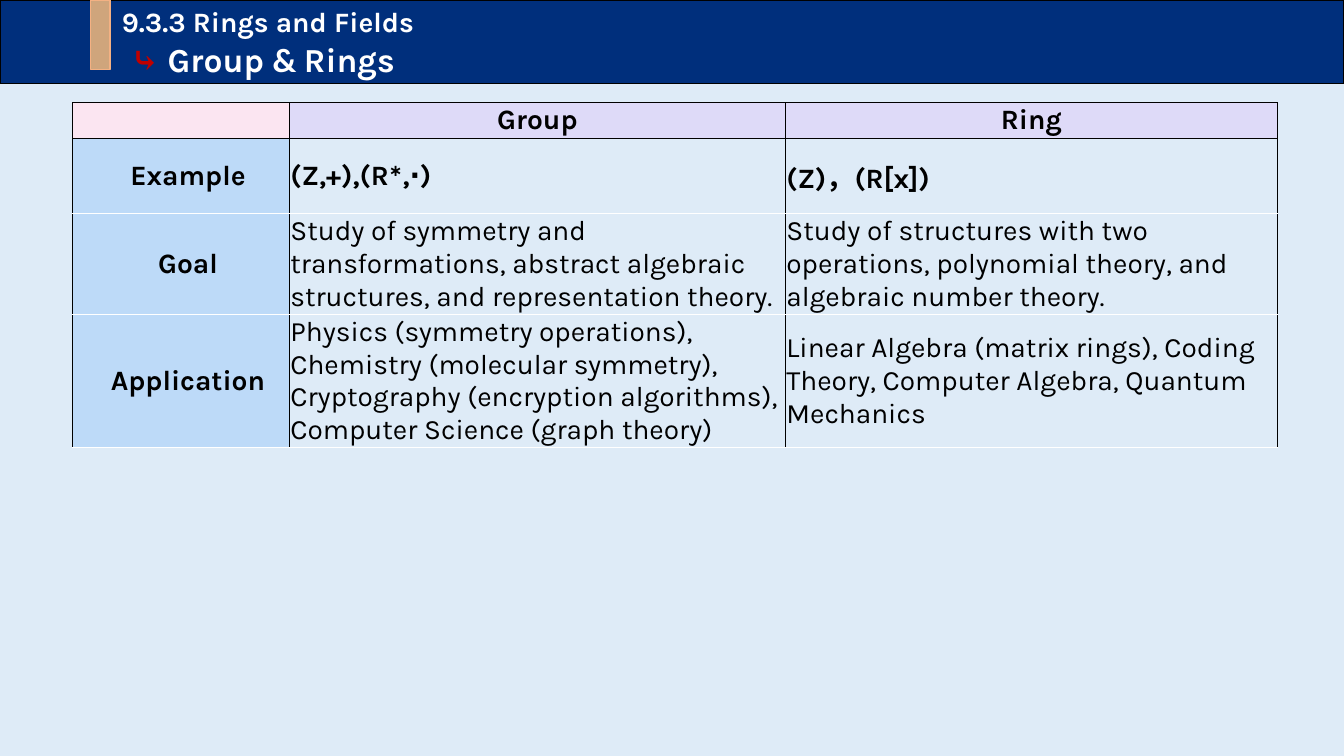
"""Builds the slide that compares groups and rings."""
from lxml import etree
from pptx import Presentation
from pptx import util as u
from pptx.dml.color import RGBColor
from pptx.enum import shapes, text
from pptx.oxml import ns

COLORS = {
    "page": "DEEBF7", "navy": "002F7C", "tan": "CFA57C", "peach": "F4B183",
    "white": "FFFFFF", "black": "000000", "red": "C00000",
    "pink": "FBE5F1", "lilac": "DEDAF8", "sky": "BDDAF8",
}


def rgb(name):
    return RGBColor.from_string(COLORS[name])


def write(paragraph, words, size=20, color="black", bold=False, font="Karla", baseline=0):
    run = paragraph.add_run()
    run.text = words
    run.font.size = u.Pt(size)
    run.font.bold = bold
    run.font.name = font
    run.font.color.rgb = rgb(color)
    if baseline:
        run._r.get_or_add_rPr().set("baseline", str(baseline * 1000))


def indent(paragraph, left=0, first=0):
    properties = paragraph._p.get_or_add_pPr()
    properties.set("marL", str(u.Inches(left)))
    properties.set("indent", str(u.Inches(first)))


class Board:
    def __init__(self, presentation):
        self.slide = presentation.slides.add_slide(presentation.slide_layouts[6])
        self.slide.background.fill.solid()
        self.slide.background.fill.fore_color.rgb = rgb("page")

    def bar(self, left, top, width, height, fill, line):
        bar = self.slide.shapes.add_shape(
            shapes.MSO_SHAPE.RECTANGLE, *map(u.Inches, (left, top, width, height)))
        bar.shadow.inherit = False
        bar.fill.solid()
        bar.fill.fore_color.rgb = rgb(fill)
        bar.line.color.rgb = rgb(line)
        bar.line.width = u.Pt(1)
        return bar

    def heading(self, bar, lines):
        frame = bar.text_frame
        frame.word_wrap = True
        frame.vertical_anchor = text.MSO_ANCHOR.MIDDLE
        for number, (left, runs) in enumerate(lines):
            paragraph = frame.add_paragraph() if number else frame.paragraphs[0]
            paragraph.alignment = text.PP_ALIGN.LEFT
            indent(paragraph, left)
            for words, style in runs:
                write(paragraph, words, bold=True, **style)

    def borders(self, cell, top, bottom):
        properties = cell._tc.get_or_add_tcPr()
        sides = {"lnL": "black", "lnR": "black", "lnT": top, "lnB": bottom}
        for side, color in sides.items():
            line = etree.SubElement(properties, ns.qn(f"a:{side}"), w=str(u.Pt(1)))
            fill = etree.SubElement(line, ns.qn("a:solidFill"))
            etree.SubElement(fill, ns.qn("a:srgbClr"), val=COLORS[color])

    def cell(self, cell, runs, fill, centered, first, top, bottom):
        cell.margin_left = cell.margin_right = u.Inches(0.01)
        cell.margin_top = cell.margin_bottom = u.Inches(0.01)
        cell.vertical_anchor = text.MSO_ANCHOR.MIDDLE
        self.borders(cell, top, bottom)
        if fill:
            cell.fill.solid()
            cell.fill.fore_color.rgb = rgb(fill)
        else:
            cell.fill.background()
        paragraph = cell.text_frame.paragraphs[0]
        if centered:
            paragraph.alignment = text.PP_ALIGN.CENTER
        indent(paragraph, first=first)
        for words, style in runs:
            write(paragraph, words, **style)

    def table(self, left, top, widths, heights, rows):
        table = self.slide.shapes.add_table(
            len(rows), len(widths),
            *map(u.Inches, (left, top, sum(widths), sum(heights)))).table
        table.first_row = table.horz_banding = False
        for column, width in zip(table.columns, widths):
            column.width = u.Inches(width)
        for r, (height, entries) in enumerate(zip(heights, rows)):
            table.rows[r].height = u.Inches(height)
            for c, entry in enumerate(entries):
                bold = r < 2 or c == 0
                parts = entry if isinstance(entry, list) else [(entry, 0)]
                runs = [(words, {"bold": bold, "baseline": raised})
                        for words, raised in parts if words]
                if r == 0:
                    fill = "lilac" if c else "pink"
                else:
                    fill = None if c else "sky"
                first = 0.14 if r and not c else -0.01 if r < 2 else 0
                self.cell(table.cell(r, c), runs, fill, r == 0 or c == 0, first,
                          top="black" if r < 2 else "white",
                          bottom="white" if r else "black")


def main():
    presentation = Presentation()
    presentation.slide_width = u.Inches(13.33)
    presentation.slide_height = u.Inches(7.5)
    board = Board(presentation)

    banner = board.bar(0, 0, 13.33, 0.83, "navy", "black")
    board.heading(banner, [
        (1.11, [("9.3.3 Rings and Fields", {"color": "white"})]),
        (1.2, [("⤷ ", {"size": 24, "color": "red"}),
               ("Group ", {"size": 24, "color": "white"}),
               ("& ", {"size": 24, "color": "white", "font": "Calibri"}),
               ("Rings", {"size": 24, "color": "white"})]),
    ])
    board.bar(0.9, 0, 0.19, 0.69, "tan", "peach")

    board.table(0.72, 1.02, [2.15, 4.92, 4.88], [0.35, 0.75, 1, 1.31], [
        ["", "Group", "Ring"],
        ["Example", [("(Z,+),(R", 0), ("∗", 30), (",⋅)", 0)], "(Z)，(R[x])"],
        ["Goal",
         "Study of symmetry and transformations, abstract algebraic structures, "
         "and representation theory.",
         "Study of structures with two operations, polynomial theory, "
         "and algebraic number theory."],
        ["Application",
         "Physics (symmetry operations), Chemistry (molecular symmetry), "
         "Cryptography (encryption algorithms), Computer Science (graph theory)",
         "Linear Algebra (matrix rings), Coding Theory, Computer Algebra, "
         "Quantum Mechanics"],
    ])
    presentation.save("out.pptx")


if __name__ == "__main__":
    main()
